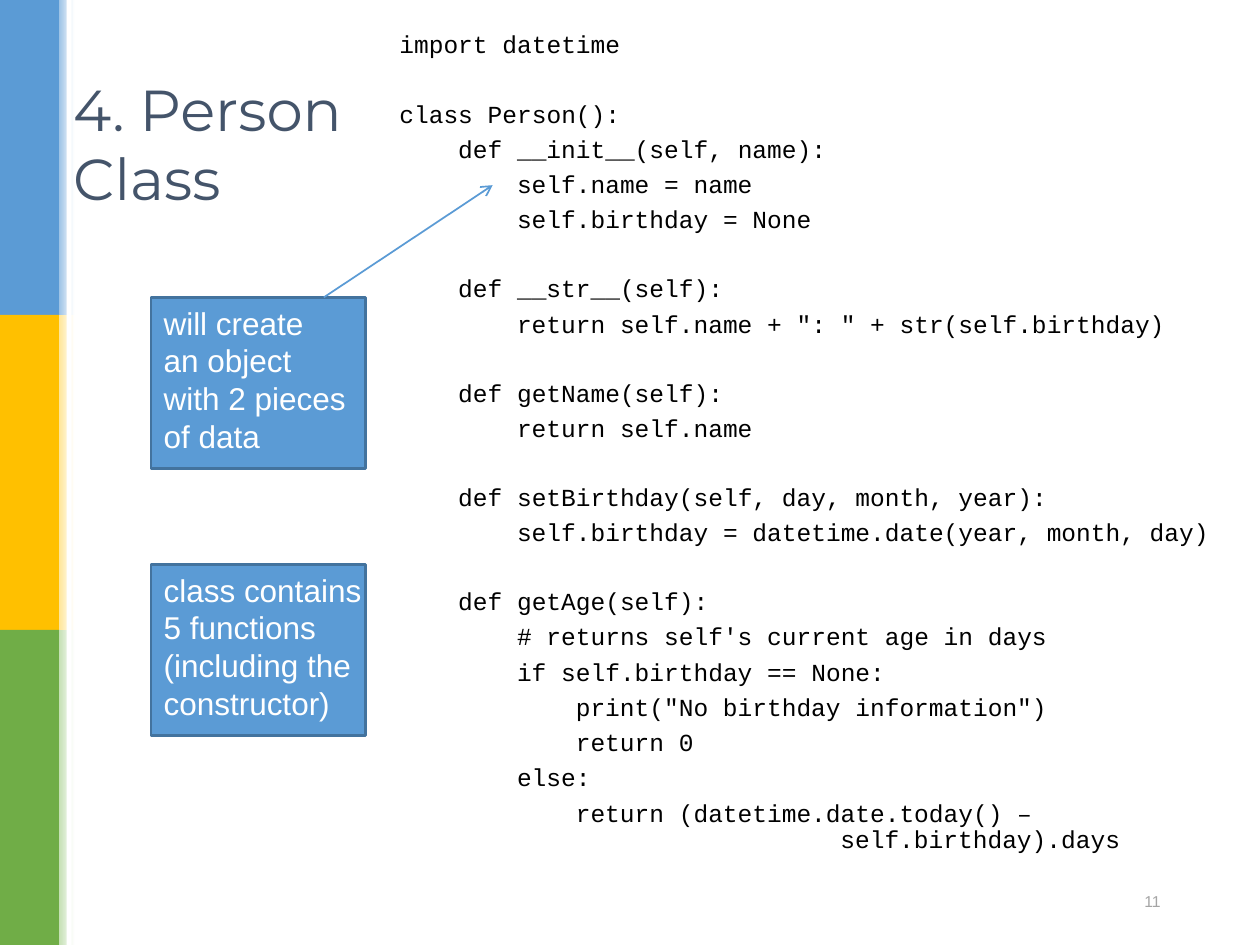
from typing import NamedTuple

from lxml import etree
from pptx import Presentation
from pptx import util as u
from pptx.dml.color import RGBColor
from pptx.enum import shapes, text
from pptx.oxml import ns

BLUE = RGBColor(0x5B, 0x9B, 0xD5)
YELLOW = RGBColor(0xFF, 0xC0, 0x00)
GREEN = RGBColor(0x70, 0xAD, 0x47)
PALE_BLUE = RGBColor(0x9D, 0xC3, 0xE6)
PALE_YELLOW = RGBColor(0xFF, 0xE6, 0x99)
PALE_GREEN = RGBColor(0xC5, 0xE0, 0xB4)
NOTE_EDGE = RGBColor(0x43, 0x73, 0x9E)
SLATE = RGBColor(0x44, 0x54, 0x6A)
GREY = RGBColor(0xA5, 0xA5, 0xA5)
BLACK = RGBColor(0, 0, 0)
WHITE = RGBColor(0xFF, 0xFF, 0xFF)

WIDTH, HEIGHT = u.Inches(10), u.Inches(7.5)
CODE_SIZE = 14
TAB = u.Pt(4 * 0.6 * CODE_SIZE)
CODE_GAP = 5
CODE_PITCH = 19.35


class Area(NamedTuple):
    """Left, top, width and height in percent of the slide."""
    left: float
    top: float
    width: float
    height: float

    def emu(self) -> tuple:
        return (across(self.left), down(self.top),
                across(self.width), down(self.height))


class Band(NamedTuple):
    colour: RGBColor
    fade: RGBColor


class Note(NamedTuple):
    area: Area
    words: str


class CodeLine(NamedTuple):
    depth: int
    code: str
    continuation: float = 0


BANDS = [Band(BLUE, PALE_BLUE), Band(YELLOW, PALE_YELLOW), Band(GREEN, PALE_GREEN)]

NOTES = [
    Note(Area(12, 31.47, 17, 18.13),
         "will create\nan object\nwith 2 pieces\nof data"),
    Note(Area(12, 59.73, 17, 18.13),
         "class contains\n5 functions\n(including the\nconstructor)"),
]

CODE_BLOCKS = [
    [CodeLine(0, "import datetime")],
    [CodeLine(0, "class Person():"),
     CodeLine(1, "def __init__(self, name):"),
     CodeLine(2, "self.name = name"),
     CodeLine(2, "self.birthday = None")],
    [CodeLine(1, "def __str__(self):"),
     CodeLine(2, 'return self.name + ": " + str(self.birthday)')],
    [CodeLine(1, "def getName(self):"),
     CodeLine(2, "return self.name")],
    [CodeLine(1, "def setBirthday(self, day, month, year):"),
     CodeLine(2, "self.birthday = datetime.date(year, month, day)")],
    [CodeLine(1, "def getAge(self):"),
     CodeLine(2, "# returns self's current age in days"),
     CodeLine(2, "if self.birthday == None:"),
     CodeLine(3, 'print("No birthday information")'),
     CodeLine(3, "return 0"),
     CodeLine(2, "else:"),
     CodeLine(3, "return (datetime.date.today() – \vself.birthday).days", 4.5)],
]


def across(percent: float) -> int:
    return round(WIDTH * percent / 100)


def down(percent: float) -> int:
    return round(HEIGHT * percent / 100)


def place(part, area: Area) -> None:
    part.left, part.top, part.width, part.height = area.emu()


def style(paragraph, font: str, size: float, colour: RGBColor,
          align=text.PP_ALIGN.LEFT) -> None:
    paragraph.alignment = align
    for run in paragraph.runs:
        run.font.name = font
        run.font.size = u.Pt(size)
        run.font.color.rgb = colour


def draw_block(slide, area: Area, colour: RGBColor):
    block = slide.shapes.add_shape(shapes.MSO_SHAPE.RECTANGLE, *area.emu())
    block.shadow.inherit = False
    block.fill.solid()
    block.fill.fore_color.rgb = colour
    block.line.fill.background()
    return block


def draw_bands(slide) -> None:
    share = 100 / len(BANDS)
    for row, band in enumerate(BANDS):
        draw_block(slide, Area(0, row * share, 4.7, share), band.colour)
        fade = draw_block(slide, Area(4.7, row * share, 1.2, share), band.fade)
        fade.fill.gradient()
        fade.fill.gradient_angle = 0
        for stop, colour, position in zip(fade.fill.gradient_stops,
                                          (band.fade, WHITE), (0, 1)):
            stop.color.rgb = colour
            stop.position = position
    draw_block(slide, Area(5.3, 0, 0.4, 100), WHITE)


def write_title(title) -> None:
    place(title, Area(4.8, 5.47, 26.3, 19.33))
    frame = title.text_frame
    frame.text = "4. Person \vClass"
    frame.auto_size = text.MSO_AUTO_SIZE.NONE
    frame.vertical_anchor = text.MSO_ANCHOR.MIDDLE
    style(frame.paragraphs[0], "Montserrat", 33, SLATE)


def write_code(body) -> None:
    place(body, Area(30.7, 2.8, 68.8, 94.93))
    frame = body.text_frame
    frame.auto_size = text.MSO_AUTO_SIZE.NONE
    lines = [(line, number > 0 and line is block[0])
             for number, block in enumerate(CODE_BLOCKS) for line in block]
    frame.text = "\n".join(line.code.split("\v")[0] for line, _ in lines)
    for paragraph, (line, opens_block) in zip(frame.paragraphs, lines):
        paragraph.text = line.code
        paragraph.line_spacing = 0.9
        paragraph.space_before = u.Pt(CODE_GAP + CODE_PITCH * opens_block)
        style(paragraph, "Courier New", CODE_SIZE, BLACK)
        properties = paragraph._p.get_or_add_pPr()
        properties.set("marL", str(round(TAB * (line.depth + line.continuation))))
        properties.set("indent", str(round(-TAB * line.continuation)))
        etree.SubElement(properties, ns.qn("a:buNone"))


def draw_note(slide, note: Note) -> None:
    block = draw_block(slide, note.area, BLUE)
    block.line.color.rgb = NOTE_EDGE
    block.line.width = u.Pt(1.5)
    frame = block.text_frame
    frame.word_wrap = False
    frame.vertical_anchor = text.MSO_ANCHOR.TOP
    frame.text = note.words
    for paragraph in frame.paragraphs:
        style(paragraph, "Arial", 18, WHITE)


def draw_pointer(slide) -> None:
    pointer = slide.shapes.add_connector(
        shapes.MSO_CONNECTOR.STRAIGHT,
        across(25.7), down(31.47), across(39.1), down(19.6))
    pointer.line.color.rgb = BLUE
    pointer.line.width = u.Pt(1)
    etree.SubElement(pointer.line._get_or_add_ln(), ns.qn("a:tailEnd"), type="arrow")
    etree.SubElement(pointer._element.spPr, ns.qn("a:effectLst"))


def write_page_number(slide) -> None:
    page = slide.shapes.add_textbox(*Area(66.2, 92.67, 26.9, 5.33).emu())
    frame = page.text_frame
    frame.word_wrap = True
    frame.vertical_anchor = text.MSO_ANCHOR.MIDDLE
    frame.text = "11"
    style(frame.paragraphs[0], "Arial", 9, GREY, text.PP_ALIGN.RIGHT)


def main() -> None:
    deck = Presentation()
    deck.slide_width, deck.slide_height = WIDTH, HEIGHT
    slide = deck.slides.add_slide(deck.slide_layouts[1])
    title, body = slide.placeholders
    draw_bands(slide)
    for part in (body, title):
        part.element.getparent().append(part.element)
    write_code(body)
    write_title(title)
    write_page_number(slide)
    draw_note(slide, NOTES[0])
    draw_pointer(slide)
    draw_note(slide, NOTES[1])
    deck.save("out.pptx")


if __name__ == "__main__":
    main()
